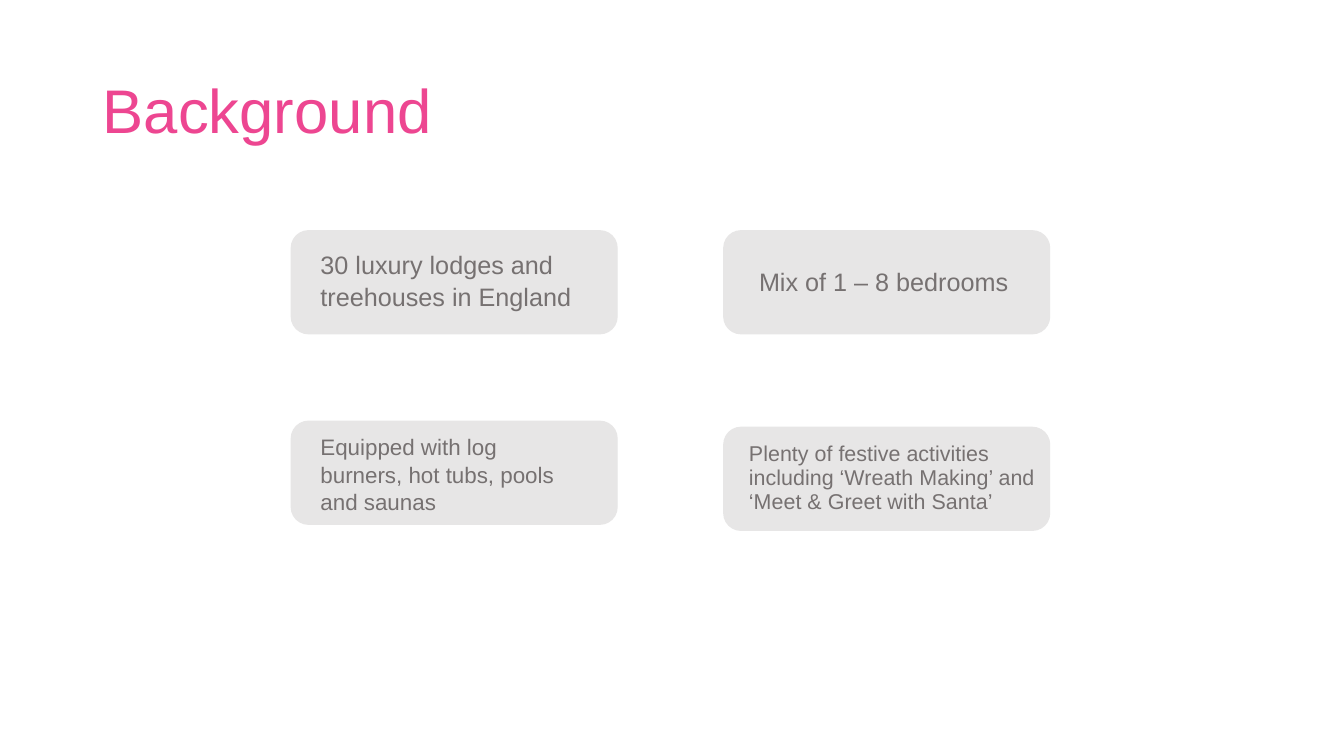
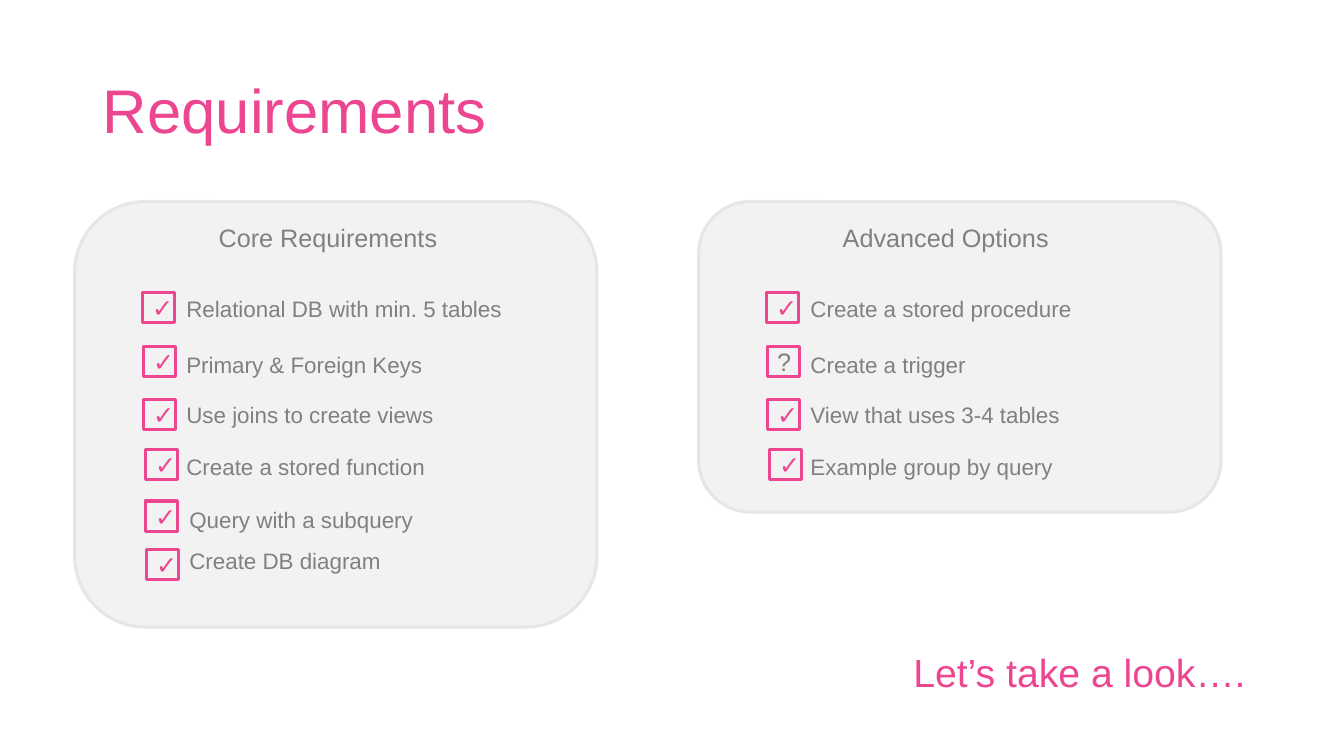
from dataclasses import dataclass

from pptx import Presentation
from pptx.dml.color import RGBColor
from pptx.enum.shapes import MSO_SHAPE as Shape
from pptx.enum.text import MSO_ANCHOR as Anchor, MSO_AUTO_SIZE as AutoSize, PP_ALIGN as Align
from pptx.util import Emu, Pt

EMU_PER_PX = 9144  # 100 px to the inch
TITLE_ONLY = 5


@dataclass(frozen=True)
class Theme:
    font: str = "Arial"
    pink: str = "ED4691"
    body: str = "767171"
    label: str = "808080"
    panel: str = "F2F2F2"
    tile: str = "E7E6E6"
    title_size: float = 44
    closing_size: float = 28
    large_size: float = 18
    item_size: float = 16
    compact_size: float = 15.3
    thin: float = 1
    thick: float = 2.25


THEME = Theme()


def px(*lengths):
    return [Emu(length * EMU_PER_PX) for length in lengths]


# Elements
def write(shape, text, size=THEME.item_size, color=THEME.label, align=Align.LEFT,
          anchor=Anchor.TOP, spacing=None, before=None, grow=False):
    frame = shape.text_frame
    frame.word_wrap = True
    frame.auto_size = AutoSize.SHAPE_TO_FIT_TEXT if grow else AutoSize.NONE
    frame.vertical_anchor = anchor
    para = frame.paragraphs[0]
    para.alignment = align
    if spacing is not None:
        para.line_spacing = spacing
    if before is not None:
        para.space_before = Pt(before)
    span = para.add_run()
    span.text = text
    span.font.name = THEME.font
    span.font.size = Pt(size)
    span.font.color.rgb = RGBColor.from_string(color)


def add_text(page, at, text, **style):
    box = page.shapes.add_textbox(*px(*at))
    write(box, text, **style)


def add_box(page, kind, at, fill, line, width):
    box = page.shapes.add_shape(kind, *px(*at))
    box.shadow.inherit = False
    if fill:
        box.fill.solid()
        box.fill.fore_color.rgb = RGBColor.from_string(fill)
    else:
        box.fill.background()
    box.line.color.rgb = RGBColor.from_string(line)
    box.line.width = Pt(width)
    return box


def add_page(deck, title):
    page = deck.slides.add_slide(deck.slide_layouts[TITLE_ONLY])
    holder = page.shapes.title
    holder.left, holder.top, holder.width, holder.height = px(92, 40, 1150, 145)
    write(holder, title, size=THEME.title_size, color=THEME.pink,
          anchor=Anchor.MIDDLE, spacing=0.9)
    return page


def add_tile(page, left, top, text_at, text, **style):
    add_box(page, Shape.ROUNDED_RECTANGLE, (left, top, 323, 102),
            THEME.tile, THEME.tile, THEME.thin)
    add_text(page, text_at, text, color=THEME.body, before=10, **style)


def add_checklist(page, left, height, heading, items):
    """Rows hold mark offset, mark top, label offset and label top."""
    rows = [(67, 290, 101, 288), (68, 344, 101, 343), (68, 396, 101, 393),
            (70, 446, 101, 445), (70, 497, 104, 497), (71, 545, 104, 538)]
    add_box(page, Shape.ROUNDED_RECTANGLE, (left, 200, 518, height),
            THEME.panel, THEME.tile, THEME.thick)
    add_text(page, (left + 133, 216, 252, 40), heading, size=THEME.large_size, grow=True)
    for (mark_x, mark_y, label_x, label_y), (mark, label) in zip(rows, items):
        box = add_box(page, Shape.RECTANGLE, (left + mark_x, mark_y, 32, 30),
                      None, THEME.pink, THEME.thick)
        write(box, mark, size=THEME.large_size, align=Align.CENTER, anchor=Anchor.MIDDLE,
              color=THEME.pink if mark == "✓" else THEME.label)
        add_text(page, (left + label_x, label_y, 388, 37), label, grow=True)


# Slides
def build_background(deck):
    page = add_page(deck, "Background")
    left, right, top = 289, 718, 229
    add_tile(page, left, top, (308, 240, 323, 90),
             "30 luxury lodges and treehouses in England",
             size=THEME.large_size, spacing=1.07)
    add_tile(page, right, top, (743, 257, 285, 59), "Mix of 1 – 8 bedrooms",
             size=THEME.large_size, spacing=1.07)
    add_tile(page, left, 418, (308, 424, 277, 96),
             "Equipped with log burners, hot tubs, pools and saunas", spacing=1.03)
    add_tile(page, right, 424, (733, 434, 309, 86),
             "Plenty of festive activities including ‘Wreath Making’ and "
             "‘Meet & Greet with Santa’", size=THEME.compact_size, spacing=0.93)


def build_requirements(deck):
    page = add_page(deck, "Requirements")
    add_checklist(page, 74, 422, "Core Requirements", [
        ("✓", "Relational DB with min. 5 tables"),
        ("✓", "Primary & Foreign Keys"),
        ("✓", "Use joins to create views"),
        ("✓", "Create a stored function"),
        ("✓", "Query with a subquery"),
        ("✓", "Create DB diagram"),
    ])
    add_checklist(page, 693, 308, "Advanced Options", [
        ("✓", "Create a stored procedure"),
        ("?", "Create a trigger"),
        ("✓", "View that uses 3-4 tables"),
        ("✓", "Example group by query"),
    ])
    add_text(page, (896, 627, 438, 84), "Let’s take a look….", size=THEME.closing_size,
             color=THEME.pink, anchor=Anchor.MIDDLE, spacing=0.9)


def main():
    deck = Presentation()
    deck.slide_width, deck.slide_height = px(1333, 750)
    build_background(deck)
    build_requirements(deck)
    deck.save("out.pptx")


if __name__ == "__main__":
    main()
